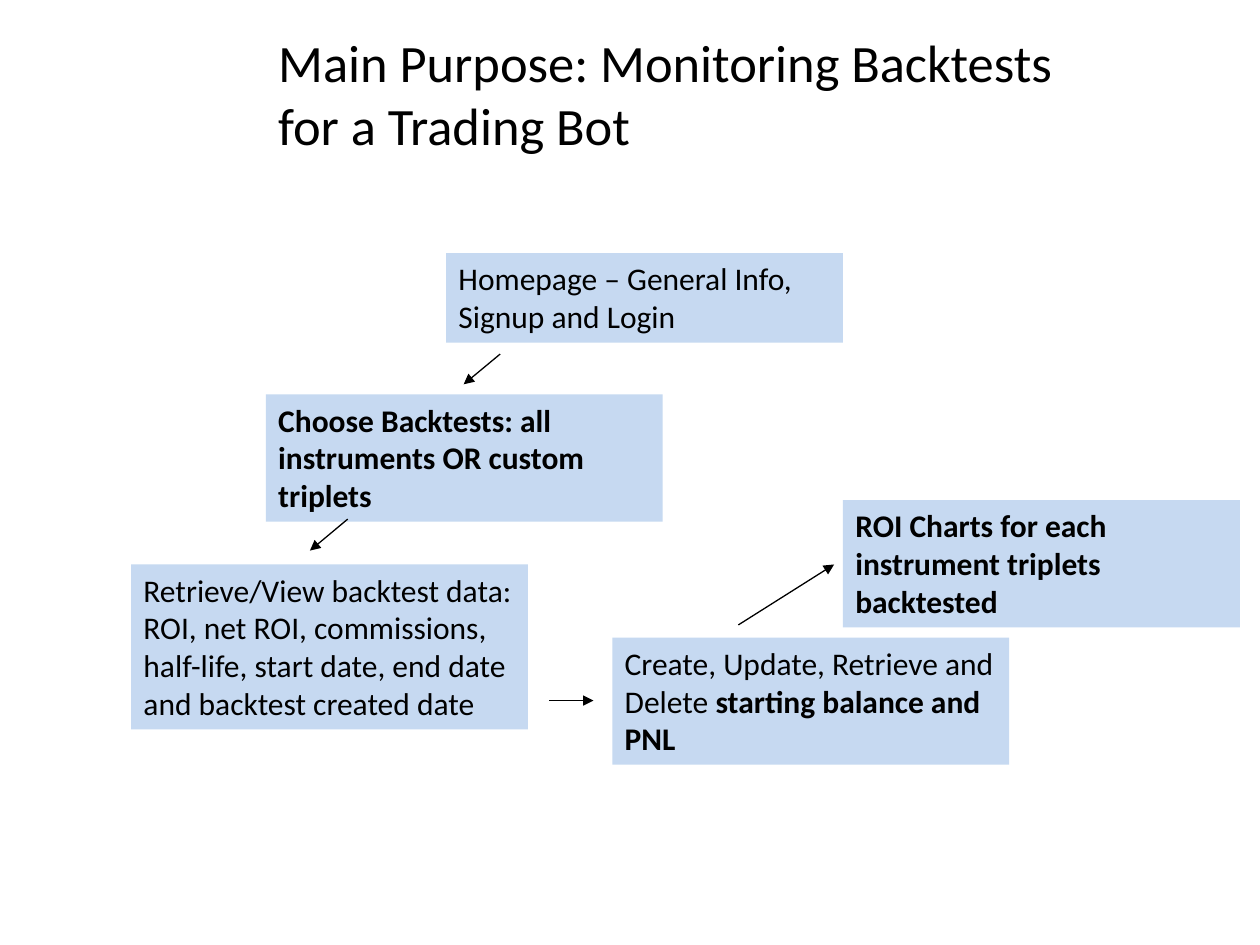
from dataclasses import dataclass

from lxml.etree import SubElement
from pptx import Presentation
from pptx.dml.color import RGBColor
from pptx.enum.shapes import MSO_CONNECTOR as Conn, MSO_SHAPE as Geo
from pptx.enum.text import MSO_ANCHOR as Anchor, MSO_AUTO_SIZE as Fit, PP_ALIGN as Align
from pptx.oxml.ns import qn
from pptx.util import Inches, Pt


@dataclass(frozen=True)
class Theme:
    font: str = "Calibri"
    ink: RGBColor = RGBColor(0, 0, 0)
    box: RGBColor = RGBColor(0xC6, 0xD9, 0xF1)
    title: int = 30
    body: int = 18
    line: float = 0.75


@dataclass(frozen=True)
class Step:
    """A flow box; plain text comes first, then bold text."""
    col: float
    row: float
    lines: int
    plain: str = ""
    bold: str = ""


@dataclass(frozen=True)
class Arrow:
    start: tuple[float, float]
    end: tuple[float, float]


THEME = Theme()

# Grid of 100 columns by 75 rows; box height follows its line count
COLS, ROWS = 100, 75
WIDTH, HEIGHT = Inches(10), Inches(7.5)
BOX_COLS, LINE_ROWS, PAD_ROWS = 31.5, 3, 1.1

STEPS = [
    Step(35.4, 20.1, 2, plain="Homepage – General Info, Signup and Login"),
    Step(21.1, 31.3, 3, bold="Choose Backtests: all instruments OR custom triplets"),
    Step(10.4, 44.8, 4, plain="Retrieve/View backtest data: ROI, net ROI, commissions, "
                              "half-life, start date, end date and backtest created date"),
    Step(48.6, 50.6, 3, plain="Create, Update, Retrieve and Delete ",
         bold="starting balance and PNL"),
    Step(66.9, 39.7, 3, bold="ROI Charts for each instrument triplets backtested"),
]
ARROWS = [
    Arrow((39.7, 28.1), (36.8, 30.5)),
    Arrow((27.6, 41.2), (24.6, 43.7)),
    Arrow((43.6, 55.6), (47.1, 55.6)),
    Arrow((58.6, 49.6), (66.2, 44.8)),
]


def x(col: float) -> int:
    return round(WIDTH * col / COLS)


def y(row: float) -> int:
    return round(HEIGHT * row / ROWS)


def write(tf, plain: str, bold: str, size: int) -> None:
    tf.word_wrap = True
    tf.auto_size = Fit.SHAPE_TO_FIT_TEXT
    tf.vertical_anchor = Anchor.TOP
    p = tf.paragraphs[0]
    p.alignment = Align.LEFT
    for text, is_bold in ((plain, False), (bold, True)):
        if text:
            r = p.add_run()
            r.text = text
            r.font.name, r.font.size, r.font.bold = THEME.font, Pt(size), is_bold
            r.font.color.rgb = THEME.ink


def add_step(s, step: Step) -> None:
    sp = s.shapes.add_shape(Geo.RECTANGLE, x(step.col), y(step.row), x(BOX_COLS),
                            y(PAD_ROWS + LINE_ROWS * step.lines))
    sp.shadow.inherit = False
    sp.fill.solid()
    sp.fill.fore_color.rgb = THEME.box
    sp.line.fill.background()
    write(sp.text_frame, step.plain, step.bold, THEME.body)


def add_arrow(s, arrow: Arrow) -> None:
    (x1, y1), (x2, y2) = arrow.start, arrow.end
    line = s.shapes.add_connector(Conn.STRAIGHT, x(x1), y(y1), x(x2), y(y2))
    line.line.color.rgb = THEME.ink
    line.line.width = Pt(THEME.line)
    sp_pr = line._element.spPr
    SubElement(sp_pr.find(qn("a:ln")), qn("a:tailEnd"), type="triangle")
    SubElement(sp_pr, qn("a:effectLst"))


def main() -> None:
    prs = Presentation()
    prs.slide_width, prs.slide_height = WIDTH, HEIGHT
    s = prs.slides.add_slide(prs.slide_layouts[6])

    # Flow boxes and the arrows between them
    for step in STEPS:
        add_step(s, step)
    for arrow in ARROWS:
        add_arrow(s, arrow)

    # Title
    title = s.shapes.add_textbox(x(21.1), y(1.9), x(67.3), y(11.1))
    write(title.text_frame, "Main Purpose: Monitoring Backtests for a Trading Bot",
          "", THEME.title)
    prs.save("out.pptx")


if __name__ == "__main__":
    main()
